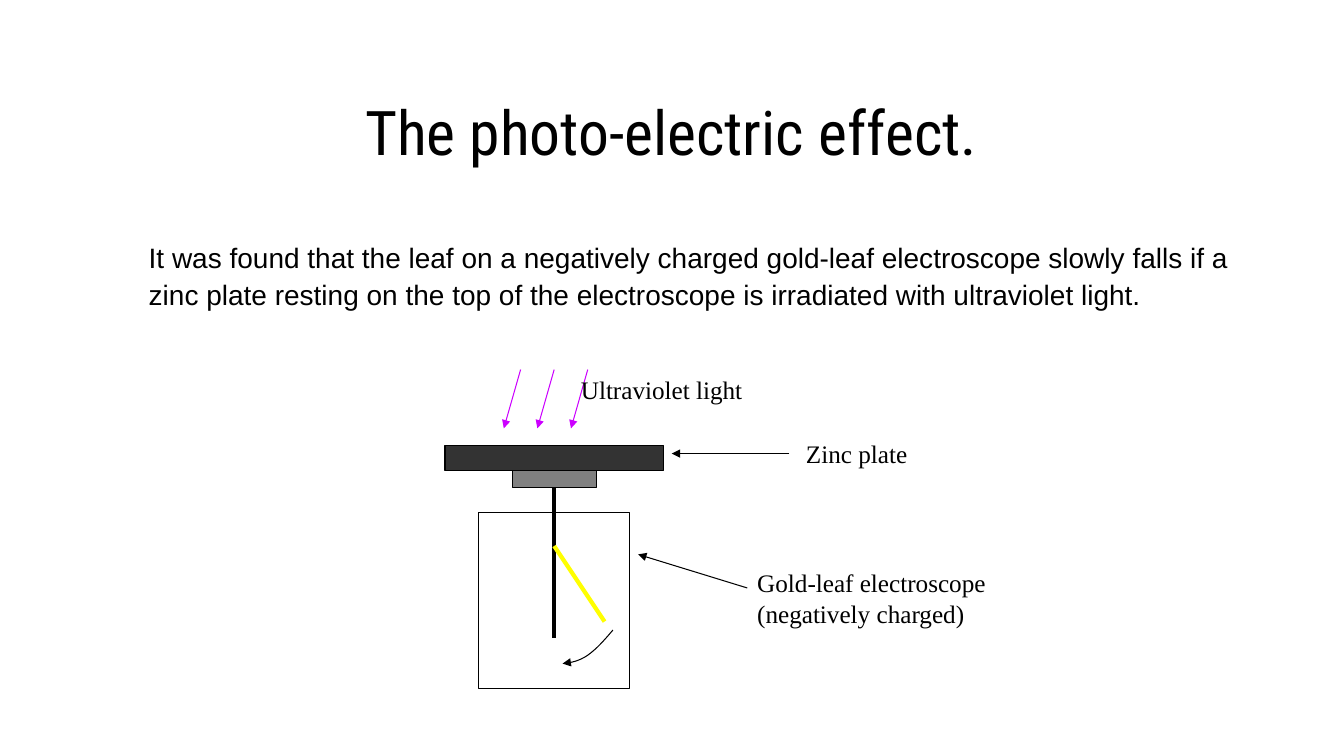
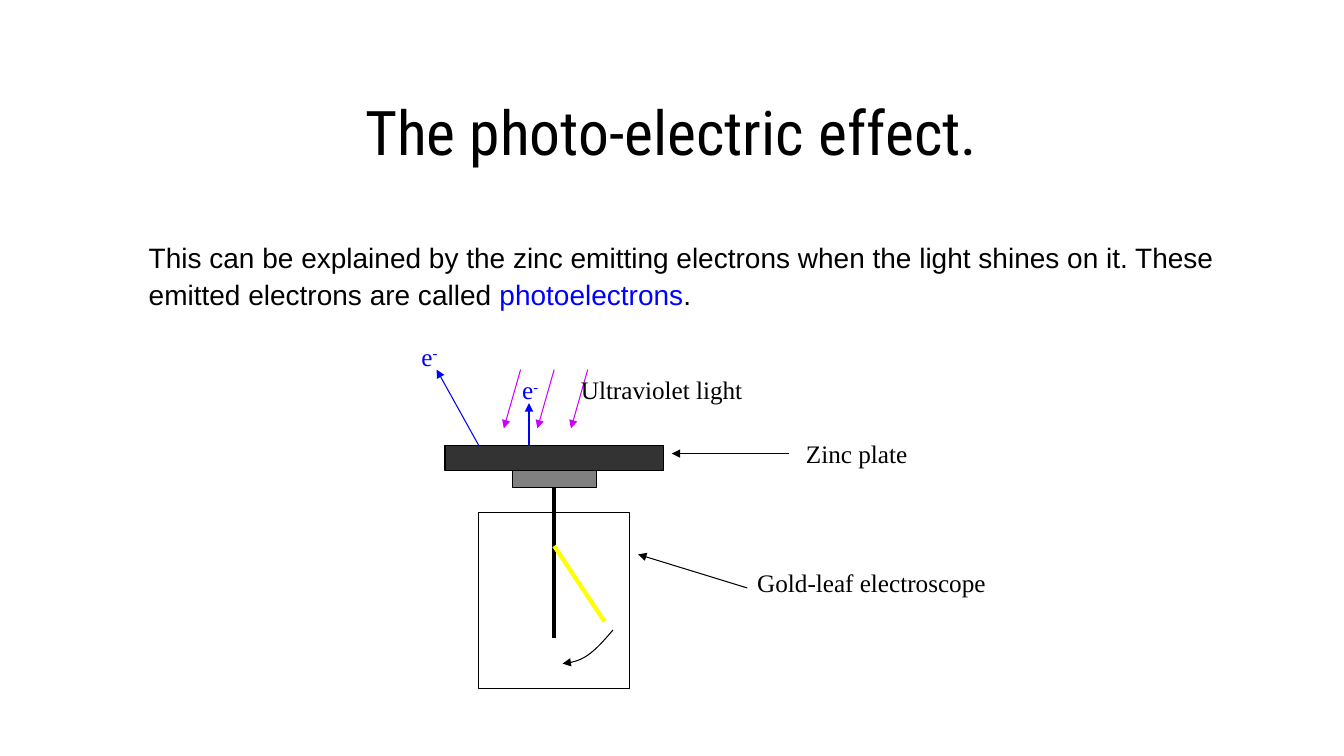
from dataclasses import dataclass

from lxml import etree
from pptx import Presentation
from pptx.dml.color import RGBColor
from pptx.enum.shapes import MSO_CONNECTOR, MSO_SHAPE
from pptx.enum.text import MSO_ANCHOR, PP_ALIGN
from pptx.oxml.ns import qn
from pptx.util import Cm, Pt

STRAIGHT = MSO_CONNECTOR.STRAIGHT
RECTANGLE = MSO_SHAPE.RECTANGLE
TOP, MIDDLE = MSO_ANCHOR.TOP, MSO_ANCHOR.MIDDLE
LEFT, CENTER = PP_ALIGN.LEFT, PP_ALIGN.CENTER

BLACK = RGBColor(0x00, 0x00, 0x00)
WHITE = RGBColor(0xFF, 0xFF, 0xFF)
GRAY = RGBColor(0x80, 0x80, 0x80)
CHARCOAL = RGBColor(0x33, 0x33, 0x33)
GOLD = RGBColor(0xFF, 0xFF, 0x00)
VIOLET = RGBColor(0xCC, 0x00, 0xFF)
BLUE = RGBColor(0x00, 0x00, 0xFF)

TITLE = "The photo-electric effect."
THIN, THICK = 0.75, 3


@dataclass(frozen=True)
class Span:
    text: str
    color: RGBColor = BLACK
    superscript: bool = False


@dataclass(frozen=True)
class Style:
    font: str
    size: int
    align: PP_ALIGN = LEFT
    anchor: MSO_ANCHOR = TOP
    leading: float | None = None


@dataclass(frozen=True)
class Box:
    x: float
    y: float
    w: float
    h: float
    fill: RGBColor


@dataclass(frozen=True)
class Line:
    x1: float
    y1: float
    x2: float
    y2: float
    color: RGBColor = BLACK
    width: float = THIN
    arrow: bool = True


@dataclass(frozen=True)
class Label:
    x: float
    y: float
    w: float
    spans: tuple[Span, ...]


TITLE_STYLE = Style("Roboto Condensed", 44, CENTER, MIDDLE)
BODY_STYLE = Style("Arial", 20, leading=26.5)
LABEL_STYLE = Style("Times New Roman", 18)

CASE = Box(57, 61, 18, 21, WHITE)
CAP = Box(61, 56, 10, 2, GRAY)
PLATE = Box(53, 53, 26, 3, CHARCOAL)
STEM = Line(66, 58, 66, 76, width=THICK, arrow=False)
LEAF = Line(66, 65, 72, 74, GOLD, THICK, False)
RAYS = [Line(x, 44, x - 2, 51, VIOLET) for x in (62, 66, 70)]
POINTERS = [Line(94, 54, 80, 54), Line(89, 70, 76, 66)]
FALL_CURVES = [
    ((73, 75), (72, 76.2), (71, 77.3), (70, 78)),
    ((70, 78), (69, 78.7), (68, 78.9), (67, 79)),
]
ELECTRON = (Span("e", BLUE), Span("-", BLUE, True))
ELECTRON_PATHS = [Line(57, 53, 52, 44, BLUE), Line(63, 53, 63, 48, BLUE)]
ELECTRON_LABELS = [Label(49, 40, 5, ELECTRON), Label(61, 44, 5, ELECTRON)]


def grid(n: float) -> Cm:
    return Cm(2.54 * n / 12)


def add_text(s, x, y, w, h, spans: tuple[Span, ...], style: Style) -> None:
    tf = s.shapes.add_textbox(x, y, w, h).text_frame
    tf.word_wrap = True
    tf.vertical_anchor = style.anchor
    p = tf.paragraphs[0]
    p.alignment = style.align
    if style.leading:
        p.line_spacing = Pt(style.leading)
    p.font.name = style.font
    p.font.size = Pt(style.size)
    for span in spans:
        r = p.add_run()
        r.text = span.text
        r.font.color.rgb = span.color
        if span.superscript:
            r._r.get_or_add_rPr().set("baseline", "30000")


def add_label(s, label: Label) -> None:
    add_text(s, grid(label.x), grid(label.y), grid(label.w), Cm(1.02),
             label.spans, LABEL_STYLE)


def set_line(sp, color: RGBColor, width: float, arrow: bool) -> None:
    sp.line.color.rgb = color
    sp.line.width = Pt(width)
    if arrow:
        ln = sp.line._get_or_add_ln()
        etree.SubElement(ln, qn("a:tailEnd"), type="triangle")


def add_box(s, box: Box) -> None:
    sp = s.shapes.add_shape(RECTANGLE, grid(box.x), grid(box.y),
                            grid(box.w), grid(box.h))
    sp.shadow.inherit = False
    sp.fill.solid()
    sp.fill.fore_color.rgb = box.fill
    set_line(sp, BLACK, THIN, False)


def add_line(s, line: Line) -> None:
    sp = s.shapes.add_connector(STRAIGHT, grid(line.x1), grid(line.y1),
                                grid(line.x2), grid(line.y2))
    set_line(sp, line.color, line.width, line.arrow)
    etree.SubElement(sp._element.spPr, qn("a:effectLst"))


def bezier(points: tuple, t: float) -> tuple[Cm, Cm]:
    u = 1 - t
    weights = (u**3, 3 * u * u * t, 3 * u * t * t, t**3)
    x, y = (sum(k * v for k, v in zip(weights, axis)) for axis in zip(*points))
    return grid(x), grid(y)


def add_fall_arrow(s, steps: int = 8) -> None:
    builder = s.shapes.build_freeform(*bezier(FALL_CURVES[0], 0))
    builder.add_line_segments(
        [bezier(curve, i / steps) for curve in FALL_CURVES
         for i in range(1, steps + 1)], close=False)
    sp = builder.convert_to_shape()
    sp.shadow.inherit = False
    sp.fill.background()
    set_line(sp, BLACK, THIN, True)


def add_electroscope(s, caption: str) -> None:
    add_box(s, CASE)
    add_line(s, STEM)
    add_line(s, LEAF)
    add_box(s, CAP)
    add_box(s, PLATE)
    for line in RAYS + POINTERS:
        add_line(s, line)
    add_fall_arrow(s)
    add_label(s, Label(68, 44, 25, (Span("Ultraviolet light"),)))
    add_label(s, Label(94.8, 51.6, 27, (Span("Zinc plate"),)))
    add_label(s, Label(89, 67, 42, (Span(caption),)))


def add_slide(prs, body: tuple[Span, ...], caption: str):
    s = prs.slides.add_slide(prs.slide_layouts[6])
    add_text(s, Cm(2.54), Cm(1.7), Cm(28.78), Cm(3.18),
             (Span(TITLE),), TITLE_STYLE)
    add_text(s, Cm(3.5), Cm(5.84), Cm(27.8), Cm(2.2), body, BODY_STYLE)
    add_electroscope(s, caption)
    return s


def main() -> None:
    prs = Presentation()
    prs.slide_width, prs.slide_height = Cm(33.88), Cm(19.05)
    add_slide(
        prs,
        (Span("It was found that the leaf on a negatively charged gold-leaf "
              "electroscope slowly falls if a zinc plate resting on the top of "
              "the electroscope is irradiated with ultraviolet light."),),
        "Gold-leaf electroscope (negatively charged)")
    s = add_slide(
        prs,
        (Span("This can be explained by the zinc emitting electrons when the "
              "light shines on it. These emitted electrons are called "),
         Span("photoelectrons", BLUE), Span(".")),
        "Gold-leaf electroscope")
    for path_line in ELECTRON_PATHS:
        add_line(s, path_line)
    for label in ELECTRON_LABELS:
        add_label(s, label)
    prs.save("out.pptx")


if __name__ == "__main__":
    main()
